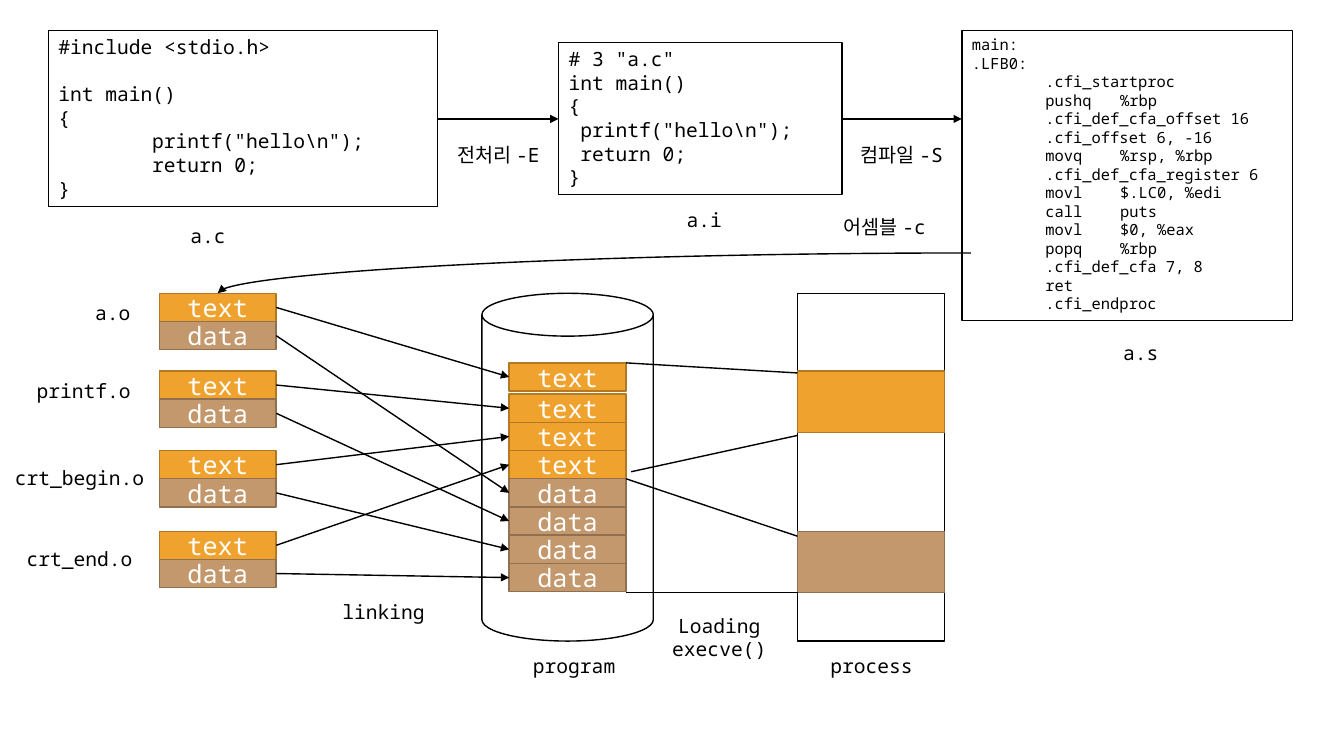
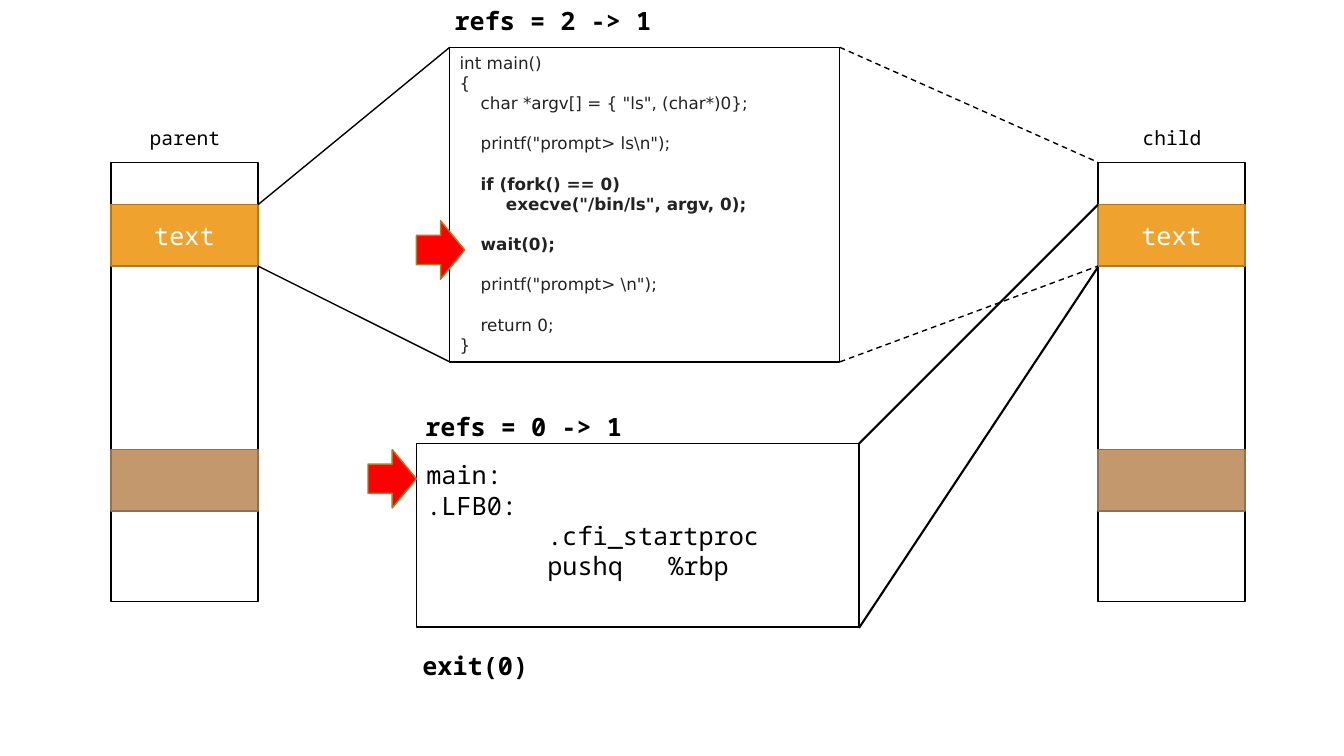
"""Build two slides: from source code to a process, and fork with execve."""
from lxml.etree import SubElement
from pptx import Presentation
from pptx.dml.color import RGBColor
from pptx.enum.dml import MSO_LINE
from pptx.enum.shapes import MSO_CONNECTOR, MSO_SHAPE
from pptx.enum.text import MSO_ANCHOR, PP_ALIGN
from pptx.oxml.ns import qn
from pptx.util import Emu, Pt

PX = 9144
MONO, SANS = "Noto Sans Mono", "DejaVu Sans"
COLORS = {"black": "000000", "white": "FFFFFF", "ink": "222222", "red": "FF0000",
          "text": "F0A22E", "text_edge": "B27822",
          "data": "C3986D", "data_edge": "907051"}
LEADING = 1.2
LEFT, RIGHT = 1, 3

SOURCE_C = r"""#include <stdio.h>

int main()
{
	printf("hello\n");
	return 0;
}"""
SOURCE_I = r"""# 3 "a.c"
int main()
{
 printf("hello\n");
 return 0;
}"""
SOURCE_S = """main:
.LFB0:
	.cfi_startproc
	pushq	%rbp
	.cfi_def_cfa_offset 16
	.cfi_offset 6, -16
	movq	%rsp, %rbp
	.cfi_def_cfa_register 6
	movl	$.LC0, %edi
	call	puts
	movl	$0, %eax
	popq	%rbp
	.cfi_def_cfa 7, 8
	ret
	.cfi_endproc"""
FORK_CODE = r"""int main()
{
	char *argv[] = { "ls", (char*)0};

	printf("prompt> ls\n");

	if (fork() == 0)
		execve("/bin/ls", argv, 0);

	wait(0);

	printf("prompt> \n");

	return 0;
}"""
CHILD_CODE = """main:
.LFB0:
	.cfi_startproc
	pushq	%rbp"""

STAGES = [
    ((48, 30, 386, 175), SOURCE_C, {"size": 14, "tabs": (93,)}),
    ((554, 42, 281, 151), SOURCE_I, {"size": 14}),
    ((954, 30, 328, 288), SOURCE_S, {"size": 11, "tabs": (73, 147)}),
]
STAGE_ARROW_Y = 118
BUILD_LABELS = [
    ("a.c", (138, 217, 137, 34)),
    ("a.i", (630, 201, 137, 34)),
    ("a.s", (1063, 333, 137, 34)),
    ("전처리 -E", (426, 137, 137, 34)),
    ("컴파일 -S", (826, 137, 137, 34)),
    ("어셈블 -c", (809, 208, 137, 34)),
    ("a.o", (80, 294, 64, 34)),
    ("printf.o", (22, 371, 122, 34)),
    ("crt_begin.o", (0, 457, 158, 34)),
    ("crt_end.o", (0, 538, 158, 34)),
    ("linking", (312, 590, 137, 34)),
    ("Loading\nexecve()", (645, 604, 137, 57)),
    ("program", (501, 644, 137, 34)),
    ("process", (796, 644, 137, 34)),
]
SECTION_W, SECTION_H = 116, 28
OBJECT_X, OBJECT_TOPS = 158, (291, 368, 447, 527)
PROGRAM_X, FIRST_TEXT_Y, STACK_Y = 505, 360, 391
LOAD_LINES = [(621, 360, 791, 370), (626, 468, 791, 432),
              (621, 475, 791, 532), (621, 588, 791, 588)]

PROCESSES = [("parent", 110), ("child", 1089)]
FORK_LINES = [
    ((256, 203, 446, 47), {}),
    ((256, 264, 446, 359), {}),
    ((833, 47, 1089, 161), {"dash": True}),
    ((833, 359, 1089, 264), {"dash": True}),
    ((1089, 203, 852, 440), {"width": 1.5}),
    ((1089, 265, 852, 623), {"width": 1.5}),
]
POINTERS = [(413, 219), (365, 446)]
NOTES = [("refs = 2 -> 1", 441, 0), ("refs = 0 -> 1", 412, 403), ("exit(0)", 409, 640)]


def px(*values):
    return [Emu(v * PX) for v in values]


def rgb(name):
    return RGBColor.from_string(COLORS[name])


def write(sp, text, size=14, font=MONO, color="black", bold=(), tabs=(),
          align=PP_ALIGN.LEFT, anchor=MSO_ANCHOR.TOP, inset=5):
    tf = sp.text_frame
    tf.word_wrap = True
    tf.vertical_anchor = anchor
    tf.margin_top = Emu(inset * PX)
    p, gap = tf.paragraphs[0], 0
    for i, line in enumerate(text.split("\n")):
        if not line:
            gap += size * LEADING
            continue
        if i:
            p = tf.add_paragraph()
        p.alignment = align
        p.line_spacing = Pt(size * LEADING)
        p.space_before = Pt(gap)
        gap = 0
        if tabs:
            stops = SubElement(p._p.get_or_add_pPr(), qn("a:tabLst"))
            for tab in tabs:
                SubElement(stops, qn("a:tab"), pos=str(tab * PX), algn="l")
        r = p.add_run()
        r.text = line
        r.font.name, r.font.size = font, Pt(size)
        r.font.bold = line.strip().startswith(bold)
        r.font.color.rgb = rgb(color)


def add_box(s, at, fill="white", edge="black", kind=MSO_SHAPE.RECTANGLE):
    sp = s.shapes.add_shape(kind, *px(*at))
    sp.shadow.inherit = False
    sp.fill.solid()
    sp.fill.fore_color.rgb = rgb(fill)
    sp.line.color.rgb = rgb(edge)
    sp.line.width = Pt(1)
    return sp


def add_section(s, at, name, label=""):
    sp = add_box(s, at, name, name + "_edge")
    if label:
        write(sp, label, size=18, color="white", align=PP_ALIGN.CENTER,
              anchor=MSO_ANCHOR.MIDDLE)
    return sp


def add_label(s, text, at, **fmt):
    write(s.shapes.add_textbox(*px(*at)), text, **fmt)


def add_line(s, ends=(0, 0, 0, 0), kind=MSO_CONNECTOR.STRAIGHT, width=1,
             dash=False, arrow=False):
    c = s.shapes.add_connector(kind, *px(*ends))
    c.line.color.rgb = rgb("black")
    c.line.width = Pt(width)
    if dash:
        c.line.dash_style = MSO_LINE.DASH
    if arrow:
        SubElement(c.line._get_or_add_ln(), qn("a:tailEnd"), type="triangle")
    SubElement(c._element.spPr, qn("a:effectLst"))
    return c


def link(s, a, b):
    c = add_line(s, arrow=True)
    c.begin_connect(a, RIGHT)
    c.end_connect(b, LEFT)


def build_slide(prs):
    s = prs.slides.add_slide(prs.slide_layouts[6])
    for at, code, fmt in STAGES:
        write(add_box(s, at), code, **fmt)
    for (a, *_), (b, *_) in zip(STAGES, STAGES[1:]):
        add_line(s, (a[0] + a[2], STAGE_ARROW_Y, b[0], STAGE_ARROW_Y), arrow=True)

    add_box(s, (478, 291, 170, 345), kind=MSO_SHAPE.CAN)
    add_box(s, (791, 291, 146, 345))
    add_section(s, (791, 368, 146, 61), "text")
    add_section(s, (791, 527, 146, 61), "data")

    count = len(OBJECT_TOPS)
    slots = [FIRST_TEXT_Y] + [STACK_Y + i * SECTION_H for i in range(2 * count - 1)]
    for k, name in enumerate(("text", "data")):
        for i, top in enumerate(OBJECT_TOPS):
            a, b = (add_section(s, (x, y, SECTION_W, SECTION_H), name, name)
                    for x, y in ((OBJECT_X, top + k * SECTION_H),
                                 (PROGRAM_X, slots[k * count + i])))
            link(s, a, b)
    for ends in LOAD_LINES:
        add_line(s, ends)

    curve = add_line(s, (963, 251, 216, 291), MSO_CONNECTOR.CURVE, arrow=True)
    curve._element.spPr.find(qn("a:prstGeom")).set("prst", "curvedConnector2")
    for text, at in BUILD_LABELS:
        add_label(s, text, at, align=PP_ALIGN.CENTER)


def fork_slide(prs):
    s = prs.slides.add_slide(prs.slide_layouts[6])
    for name, x in PROCESSES:
        add_box(s, (x, 161, 146, 436))
        add_section(s, (x, 203, 146, 61), "text", "text")
        add_section(s, (x, 446, 146, 61), "data")
        add_label(s, name, (x + 5, 120, 137, 34), align=PP_ALIGN.CENTER)
    for ends, fmt in FORK_LINES:
        add_line(s, ends, **fmt)
    write(add_box(s, (446, 47, 387, 312)), FORK_CODE, size=12, font=SANS,
          color="ink", tabs=(21, 46), bold=("if", "execve", "wait"))
    write(add_box(s, (413, 440, 439, 182)), CHILD_CODE, size=18,
          tabs=(120, 240), inset=16)
    for x, y in POINTERS:
        add_box(s, (x, y, 48, 58), "red", "text_edge", MSO_SHAPE.RIGHT_ARROW)
    for text, x, y in NOTES:
        add_label(s, text, (x, y, 231, 40), size=18, bold=("refs", "exit"))


def main():
    prs = Presentation()
    prs.slide_width, prs.slide_height = px(1333, 750)
    build_slide(prs)
    fork_slide(prs)
    prs.save("out.pptx")


if __name__ == "__main__":
    main()
